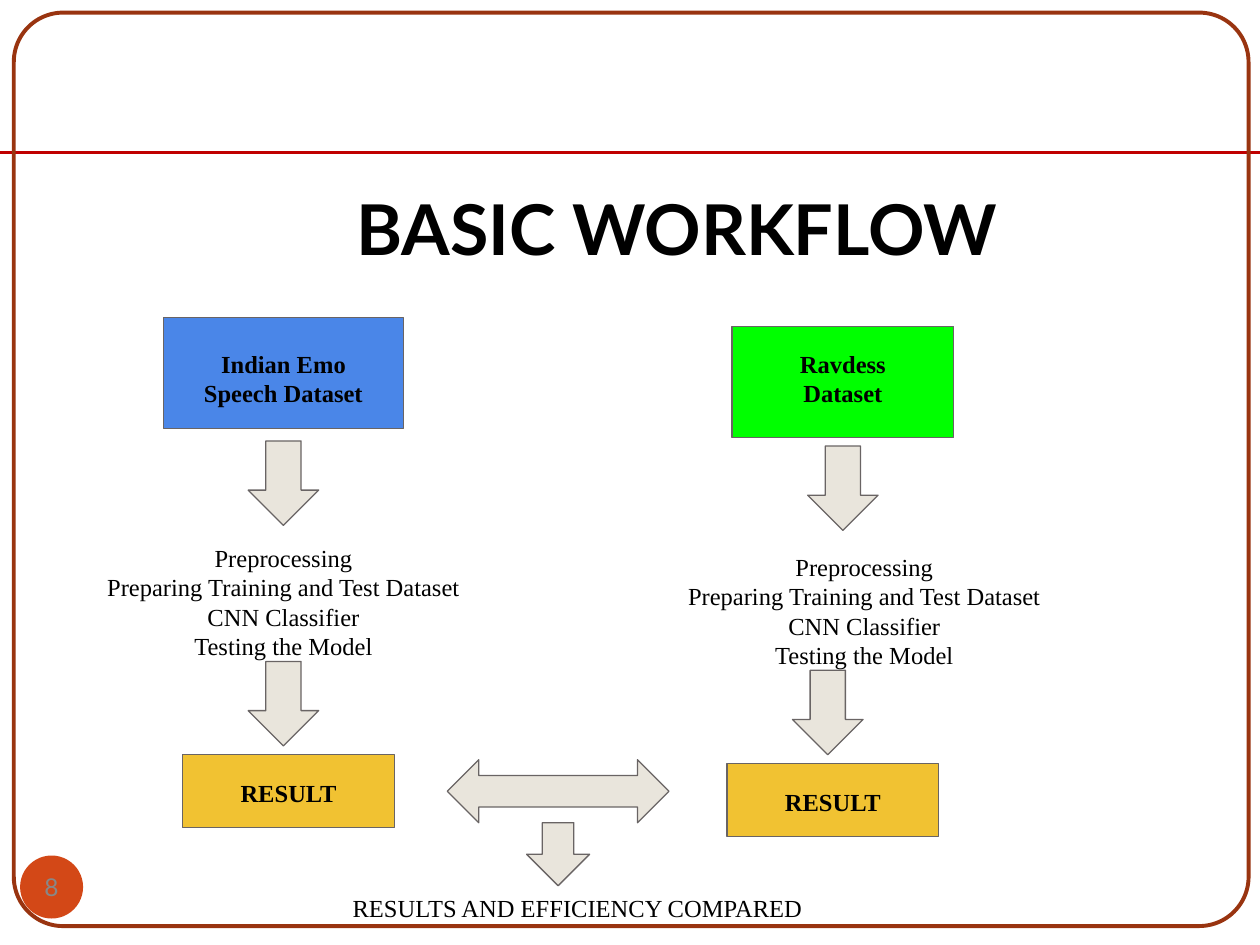
from lxml.etree import SubElement
from pptx import Presentation
from pptx.dml.color import RGBColor
from pptx.enum.shapes import MSO_CONNECTOR as Connector, MSO_SHAPE as Shape
from pptx.enum.text import MSO_ANCHOR as Anchor, PP_ALIGN as Align
from pptx.oxml.ns import qn
from pptx.util import Inches, Pt

BLACK = RGBColor(0x00, 0x00, 0x00)
GRAY = RGBColor(0x88, 0x88, 0x88)
OUTLINE = RGBColor(0x69, 0x64, 0x64)
RED = RGBColor(0xC0, 0x00, 0x00)
BROWN = RGBColor(0x99, 0x34, 0x10)
ORANGE = RGBColor(0xD3, 0x48, 0x17)
BLUE = RGBColor(0x4A, 0x86, 0xE8)
GREEN = RGBColor(0x00, 0xFF, 0x00)
YELLOW = RGBColor(0xF1, 0xC2, 0x32)
BEIGE = RGBColor(0xE9, 0xE5, 0xDC)

STEPS = ("Preprocessing", "Preparing Training and Test Dataset",
         "CNN Classifier", "Testing the Model")


def write_text(shape, *lines, size=14, font="Times New Roman", color=BLACK, bold=False,
               align=Align.CENTER, anchor=Anchor.TOP, insets=(0.1, 0.1, 0.1, 0.1)):
    """Fill a shape with one paragraph per line; insets run left, top, right, bottom."""
    frame = shape.text_frame
    frame.word_wrap = True
    frame.vertical_anchor = anchor
    (frame.margin_left, frame.margin_top,
     frame.margin_right, frame.margin_bottom) = map(Inches, insets)
    for index, line in enumerate(lines):
        paragraph = frame.paragraphs[0] if index == 0 else frame.add_paragraph()
        paragraph.alignment = align
        run = paragraph.add_run()
        run.text = line
        run.font.size = Pt(size)
        run.font.name = font
        run.font.bold = bold
        run.font.color.rgb = color


def add_text(slide, box, *lines, **text_format):
    write_text(slide.shapes.add_textbox(*map(Inches, box)), *lines, **text_format)


def add_block(slide, kind, box, fill=None, line=OUTLINE, weight=0.75):
    shape = slide.shapes.add_shape(kind, *map(Inches, box))
    shape.shadow.inherit = False
    if fill is None:
        shape.fill.background()
    else:
        shape.fill.solid()
        shape.fill.fore_color.rgb = fill
    if line is None:
        shape.line.fill.background()
    else:
        shape.line.color.rgb = line
        shape.line.width = Pt(weight)
    return shape


def add_page_frame(slide, box, rule_top, page_width):
    rule = slide.shapes.add_connector(Connector.STRAIGHT, 0, Inches(rule_top),
                                      Inches(page_width), Inches(rule_top))
    rule.line.color.rgb = RED
    rule.line.width = Pt(1.5)
    SubElement(rule._element.spPr, qn("a:effectLst"))
    border = add_block(slide, Shape.ROUNDED_RECTANGLE, box, line=BROWN, weight=2.25)
    border.adjustments[0] = 0.054


def add_page_number(slide, box, number):
    badge = add_block(slide, Shape.OVAL, box, fill=ORANGE, line=None)
    write_text(badge, number, font="Lato", color=GRAY, anchor=Anchor.MIDDLE,
               insets=(0, 0, 0, 0))


def add_dataset_column(slide, box, name, fill, name_width, name_insets,
                       name_center, result_center, arrow_top):
    """Stack dataset, steps and result; centers and arrow_top are relative to the box."""
    left, top, width, height = box
    result_height = 0.58

    def centered(center, offset, part_width, part_height):
        return left + center - part_width / 2, top + offset, part_width, part_height

    dataset = add_block(slide, Shape.RECTANGLE,
                        centered(name_center, 0, name_width, 0.88), fill)
    write_text(dataset, name, bold=True, insets=name_insets)
    for center, offset in ((name_center, arrow_top), (result_center - 0.04, 2.73)):
        add_block(slide, Shape.DOWN_ARROW, centered(center, offset, 0.56, 0.67), BEIGE)
    add_text(slide, (left, top + 1.69, width, 0.97), *STEPS)
    result = add_block(slide, Shape.RECTANGLE,
                       centered(result_center, height - result_height, 1.68, result_height),
                       YELLOW)
    write_text(result, "RESULT", bold=True, anchor=Anchor.MIDDLE, insets=(0, 0.02, 0, 0))


def add_comparison(slide, box):
    left, top, width, height = box
    arrow_height = 0.5
    add_block(slide, Shape.LEFT_RIGHT_ARROW,
              (left + 0.85, top, 1.76, arrow_height), BEIGE)
    add_block(slide, Shape.DOWN_ARROW,
              (left + 1.48, top + arrow_height, 0.5, arrow_height), BEIGE)
    add_text(slide, (left, top + 0.96, width, height - 0.96),
             "RESULTS AND EFFICIENCY COMPARED", align=Align.LEFT)


def main():
    presentation = Presentation()
    presentation.slide_width = Inches(10)
    presentation.slide_height = Inches(7.5)
    slide = presentation.slides.add_slide(presentation.slide_layouts[6])

    add_page_frame(slide, (0.11, 0.1, 9.8, 7.25), rule_top=1.21, page_width=10)
    add_text(slide, (2.83, 1.47, 6.5, 0.67), "BASIC WORKFLOW", size=40, font="Lato",
             bold=True, align=Align.LEFT, anchor=Anchor.BOTTOM, insets=(0, 0, 0, 0))
    add_page_number(slide, (0.16, 6.79, 0.5, 0.5), "8")
    add_dataset_column(slide, (0.09, 2.52, 4.32, 4.05), "Indian Emo Speech Dataset", BLUE,
                       name_width=1.91, name_insets=(0.17, 0.25, 0.17, 0),
                       name_center=2.16, result_center=2.2, arrow_top=0.98)
    add_dataset_column(slide, (4.7, 2.59, 4.32, 4.05), "Ravdess Dataset", GREEN,
                       name_width=1.76, name_insets=(0.36, 0.18, 0.36, 0),
                       name_center=1.99, result_center=1.91, arrow_top=0.95)
    add_comparison(slide, (2.7, 6.03, 4.79, 1.47))

    presentation.save("out.pptx")


if __name__ == "__main__":
    main()
